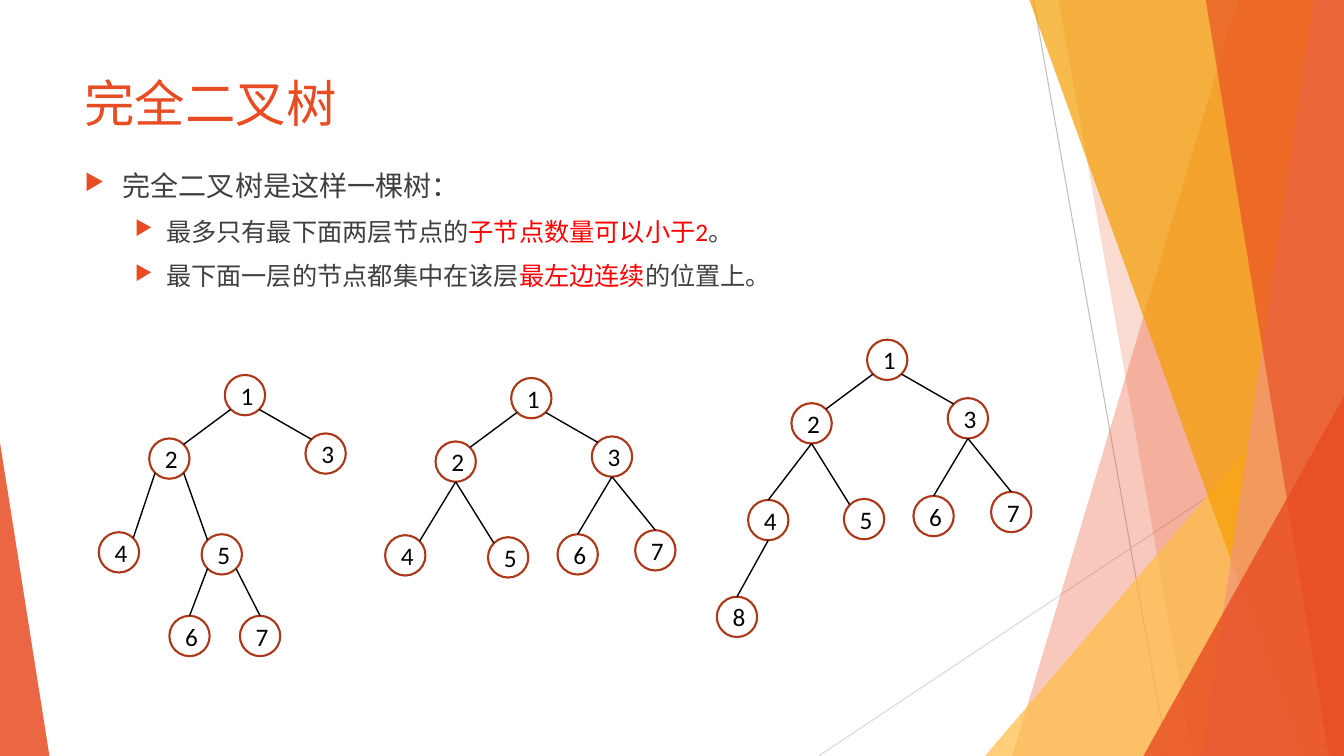
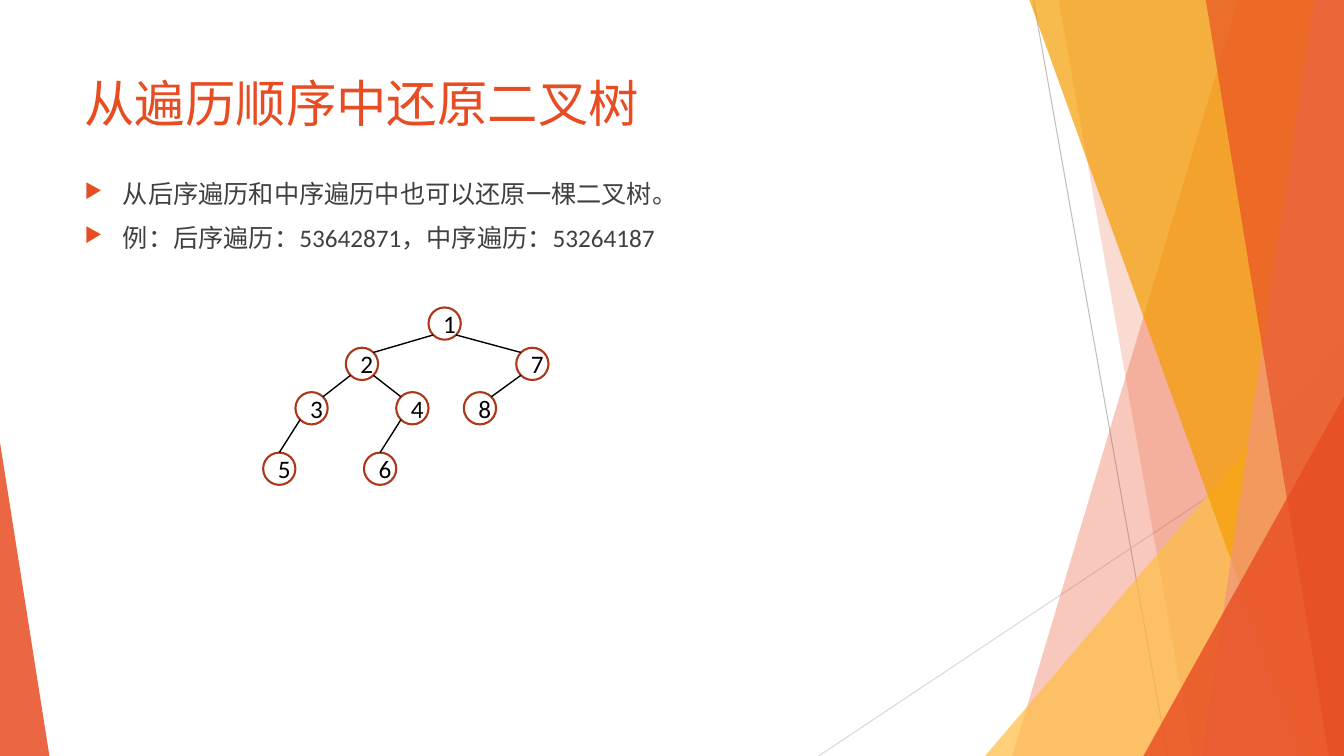
from lxml.etree import SubElement as SubEl
from pptx import Presentation
from pptx.dml.color import RGBColor
from pptx.enum.shapes import MSO_CONNECTOR as Connector, MSO_SHAPE as Preset
from pptx.enum.text import MSO_ANCHOR as Anchor, PP_ALIGN as Align
from pptx.oxml.ns import qn
from pptx.util import Inches, Pt

WIDTH, HEIGHT = 13.33, 7.5
MARGIN, TEXT_WIDTH = 0.74, 9.4
FONT = "Calibri"
ORANGE, AMBER, GOLD, SALMON = "E84C22", "FFBD47", "F49D00", "F1947A"
RUST, RED, GREY, BLACK, WHITE = "AC3819", "FF0000", "404040", "000000", "FFFFFF"
INDENTS = [(0.38, -0.38), (0.81, -0.31)]

CROWN = {1: (0, 0), 2: (-0.75, 0.63), 3: (0.8, 0.58), 4: (-1.25, 1.56), 5: (-0.23, 1.58)}
FULL = CROWN | {6: (0.46, 1.55), 7: (1.23, 1.51)}
DEEP = CROWN | {6: (-0.55, 2.39), 7: (0.15, 2.39)}
EIGHT = FULL | {4: (-1.18, 1.59), 8: (-1.49, 2.55)}
RESTORED = {1: (0, 0), 2: (-0.82, 0.4), 3: (-1.32, 0.84), 4: (-0.32, 0.84),
            5: (-1.64, 1.44), 6: (-0.64, 1.44), 7: (0.87, 0.4), 8: (0.35, 0.84)}
HEAP_PARENTS = {child: child // 2 for child in range(2, 9)}
DEEP_PARENTS = HEAP_PARENTS | {6: 5, 7: 5}
RESTORED_PARENTS = {2: 1, 7: 1, 3: 2, 4: 2, 5: 3, 6: 4, 8: 7}


def rgb(value):
    """Turn a hex string into a colour."""
    return RGBColor.from_string(value)


class TreeDeck:
    """Hold the deck style and the slide being drawn."""

    def __init__(self):
        """Start an empty widescreen deck."""
        self.deck = Presentation()
        self.deck.slide_width, self.deck.slide_height = Inches(WIDTH), Inches(HEIGHT)
        self.shapes = None

    def page(self, title):
        """Add a slide with the shared backdrop and a title."""
        self.shapes = self.deck.slides.add_slide(self.deck.slide_layouts[6]).shapes
        self.backdrop()
        para = self.text_frame(0.67, 0.8).paragraphs[0]
        para.text = title
        self.style(para, 36, ORANGE)

    def backdrop(self):
        """Draw the ribbons at both edges."""
        self.line((10.25, 0), (11.58, HEIGHT), "BFBFBF", 0.75)
        self.line((WIDTH, 4.03), (8.12, HEIGHT), "D9D9D9", 0.75)
        self.band(12.28, 10.04, ORANGE, 30)
        self.band(10.5, 11.83, ORANGE, 20)
        self.wedge(9.77, 3.33, 3.56, 1, AMBER, 72)
        self.band(10.21, 12.91, GOLD, 70)
        self.band(13.03, 11.92, SALMON, 70)
        self.band(11.96, 13.18, ORANGE, 65)
        self.wedge(11.34, 3.93, 1.99, 1, ORANGE, 80)
        self.wedge(0, 4.39, 0.49, 0, ORANGE, 85)

    def band(self, top_x, bottom_x, color, opacity):
        """Fill the area from a slanted edge to the right side."""
        corners = [(WIDTH, 0), (WIDTH, HEIGHT), (bottom_x, HEIGHT)]
        builder = self.shapes.build_freeform(Inches(top_x), 0)
        builder.add_line_segments([(Inches(x), Inches(y)) for x, y in corners], close=True)
        self.tint(builder.convert_to_shape(), color, opacity)

    def wedge(self, left, top, width, tip, color, opacity):
        """Draw a right triangle standing on the bottom edge."""
        shape = self.shapes.add_shape(Preset.ISOSCELES_TRIANGLE, Inches(left), Inches(top),
                                      Inches(width), Inches(HEIGHT - top))
        shape.adjustments[0] = tip
        self.tint(shape, color, opacity)

    def tint(self, shape, color, opacity):
        """Give a shape a translucent fill and no outline."""
        shape.shadow.inherit = False
        shape.fill.solid()
        shape.fill.fore_color.rgb = rgb(color)
        shape.line.fill.background()
        fill_color = shape.element.spPr.find(".//" + qn("a:srgbClr"))
        SubEl(fill_color, qn("a:alpha"), val=str(opacity * 1000))

    def line(self, start, end, color=BLACK, weight=1):
        """Draw a straight line between two points."""
        connector = self.shapes.add_connector(
            Connector.STRAIGHT, *(Inches(value) for value in (*start, *end)))
        connector.line.color.rgb = rgb(color)
        connector.line.width = Pt(weight)
        SubEl(connector.element.spPr, qn("a:effectLst"))

    def text_frame(self, top, height):
        """Add a wrapping text box at the margin."""
        box = self.shapes.add_textbox(Inches(MARGIN), Inches(top), Inches(TEXT_WIDTH), Inches(height))
        box.text_frame.word_wrap = True
        return box.text_frame

    def style(self, para, size, color):
        """Set the font of a paragraph."""
        para.font.name = FONT
        para.font.size = Pt(size)
        para.font.color.rgb = rgb(color)

    def bullets(self, top, items):
        """Write bulleted paragraphs whose every second span is red."""
        frame = self.text_frame(top, 6.6 - top)
        for index, (level, size, spans) in enumerate(items):
            para = frame.add_paragraph() if index else frame.paragraphs[0]
            para.level = level
            para.space_before = Pt(10)
            self.bullet(para, *INDENTS[level])
            self.style(para, size, GREY)
            for position, text in enumerate(spans):
                span = para.add_run()
                span.text = text
                if position % 2:
                    span.font.color.rgb = rgb(RED)

    def bullet(self, para, margin, indent):
        """Put an orange triangle before a paragraph."""
        props = para._p.get_or_add_pPr()
        props.set("marL", str(Inches(margin)))
        props.set("indent", str(Inches(indent)))
        SubEl(SubEl(props, qn("a:buClr")), qn("a:srgbClr"), val=ORANGE)
        SubEl(props, qn("a:buSzPct"), val="80000")
        SubEl(props, qn("a:buChar"), char="▶")

    def node(self, label, left, top, size):
        """Draw a numbered circle."""
        circle = self.shapes.add_shape(Preset.OVAL, Inches(left), Inches(top), Inches(size), Inches(size))
        circle.shadow.inherit = False
        circle.fill.solid()
        circle.fill.fore_color.rgb = rgb(WHITE)
        circle.line.color.rgb = rgb(RUST)
        circle.line.width = Pt(1.5)
        circle.text_frame.vertical_anchor = Anchor.MIDDLE
        para = circle.text_frame.paragraphs[0]
        para.text = str(label)
        para.alignment = Align.CENTER
        self.style(para, 18, BLACK)

    def tree(self, left, top, size, offsets, parents, from_bottom=(), to_top=()):
        """Draw a tree, joining circles at their diagonals, bottoms or tops."""
        radius = size / 2
        diagonal = radius * 0.5 ** 0.5
        centers = {label: (left + x + radius, top + y + radius) for label, (x, y) in offsets.items()}
        for label, (x, y) in centers.items():
            self.node(label, x - radius, y - radius, size)
        for child, (x, y) in centers.items():
            if child not in parents:
                continue
            parent = parents[child]
            parent_x, parent_y = centers[parent]
            shift = diagonal if x > parent_x else -diagonal
            start = ((parent_x, parent_y + radius) if parent in from_bottom
                     else (parent_x + shift, parent_y + diagonal))
            end = (x, y - radius) if child in to_top else (x - shift, y - diagonal)
            self.line(start, end)


def main():
    """Build both slides and save the deck."""
    show = TreeDeck()
    show.page("完全二叉树")
    show.bullets(1.62, [
        (0, 20, ["完全二叉树是这样一棵树："]),
        (1, 18, ["最多只有最下面两层节点的", "子节点数量可以小于2", "。"]),
        (1, 18, ["最下面一层的节点都集中在该层", "最左边连续", "的位置上。"]),
    ])
    show.tree(2.23, 3.72, 0.4, DEEP, DEEP_PARENTS, to_top={6, 7})
    show.tree(5.07, 3.75, 0.4, FULL, HEAP_PARENTS, {2, 3}, {6, 7})
    show.tree(8.6, 3.37, 0.4, EIGHT, HEAP_PARENTS, {2, 3, 4}, {4, 6, 7, 8})

    show.page("从遍历顺序中还原二叉树")
    show.bullets(1.72, [
        (0, 18, ["从后序遍历和中序遍历中也可以还原一棵二叉树。"]),
        (0, 18, ["例：后序遍历：53642871，中序遍历：53264187"]),
    ])
    show.tree(4.25, 3.05, 0.32, RESTORED, RESTORED_PARENTS, to_top={5, 6})
    show.deck.save("out.pptx")


if __name__ == "__main__":
    main()
